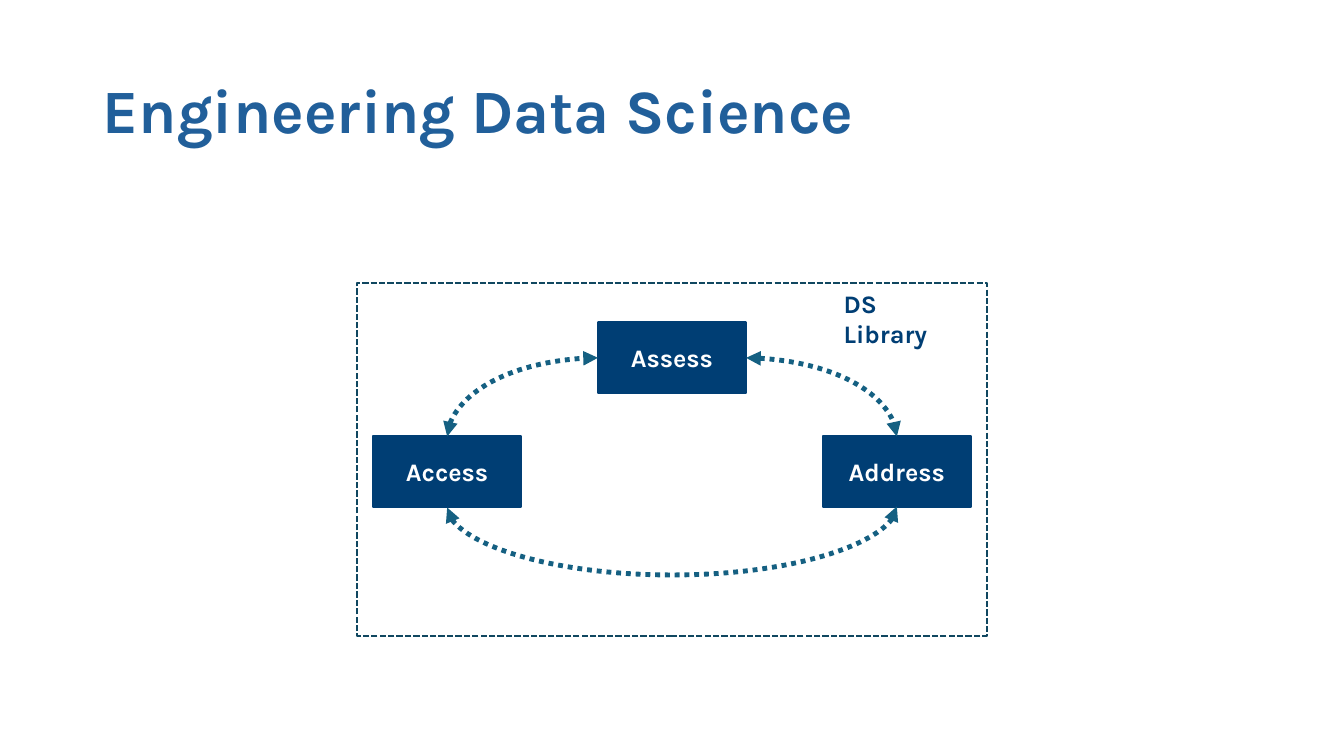
from dataclasses import dataclass

from pptx import Presentation
from pptx.dml.color import RGBColor
from pptx.enum.dml import MSO_LINE
from pptx.enum.shapes import MSO_CONNECTOR, MSO_SHAPE
from pptx.enum.text import MSO_ANCHOR as Anchor, PP_ALIGN as Align
from pptx.oxml.ns import qn
from pptx.oxml.xmlchemy import OxmlElement
from pptx.util import Inches, Pt

TOP, LEFT, BOTTOM, RIGHT = range(4)


@dataclass(frozen=True)
class Theme:
    """Colours, font and sizes used on the slide."""
    font: str = "Karla"
    title: str = "215F9A"
    navy: str = "003E74"
    arrow: str = "156082"
    frame: str = "104760"
    white: str = "FFFFFF"
    title_size: int = 44
    label_size: int = 18
    outline: float = 1.5
    arrow_width: float = 3.5


THEME = Theme()


def rgb(colour):
    """Turn a hex string into a colour."""
    return RGBColor.from_string(colour)


def write(shape, words, size, colour, anchor, align=None):
    """Write one bold run into a shape and return its paragraph."""
    frame = shape.text_frame
    frame.word_wrap = True
    frame.vertical_anchor = anchor
    paragraph = frame.paragraphs[0]
    paragraph.alignment = align
    run = paragraph.add_run()
    run.text = words
    run.font.name = THEME.font
    run.font.size = Pt(size)
    run.font.bold = True
    run.font.color.rgb = rgb(colour)
    return paragraph


def add_box(slide, x, y, width, height, line, fill=None, dash=None):
    """Add a rectangle, unfilled when no fill is given."""
    box = slide.shapes.add_shape(
        MSO_SHAPE.RECTANGLE, Inches(x), Inches(y), Inches(width), Inches(height))
    box.shadow.inherit = False
    if fill:
        box.fill.solid()
        box.fill.fore_color.rgb = rgb(fill)
    else:
        box.fill.background()
    box.line.color.rgb = rgb(line)
    box.line.width = Pt(THEME.outline)
    box.line.dash_style = dash
    return box


def turn_upright(curve):
    """Make a joined curve leave its first box vertically."""
    across = curve.end_x - curve.begin_x
    down = curve.end_y - curve.begin_y
    centre_x = (curve.begin_x + curve.end_x) // 2
    centre_y = (curve.begin_y + curve.end_y) // 2
    curve.width = max(abs(down), Inches(0.01))
    curve.height = abs(across)
    curve.left = centre_x - curve.width // 2
    curve.top = centre_y - curve.height // 2
    xfrm = curve._element.spPr.find(qn("a:xfrm"))
    xfrm.set("rot", str(90 * 60000))
    xfrm.set("flipH", str(int(down < 0)))
    xfrm.set("flipV", str(int(across > 0)))


def add_curve(slide, start, start_side, end, end_side, sag=None):
    """Join two boxes with a dotted two-headed curve, sagging if asked."""
    curve = slide.shapes.add_connector(MSO_CONNECTOR.CURVE, 0, 0, 0, 0)
    curve.begin_connect(start, start_side)
    curve.end_connect(end, end_side)
    if start_side in (TOP, BOTTOM):
        turn_upright(curve)
    properties = curve._element.spPr
    geometry = properties.find(qn("a:prstGeom"))
    if sag is None:
        geometry.set("prst", "curvedConnector2")
    else:
        guide = OxmlElement("a:gd")
        guide.set("name", "adj1")
        guide.set("fmla", f"val {round(Inches(sag) / curve.width * 100000)}")
        geometry.find(qn("a:avLst")).append(guide)
    curve.line.color.rgb = rgb(THEME.arrow)
    curve.line.width = Pt(THEME.arrow_width)
    curve.line.dash_style = MSO_LINE.ROUND_DOT
    for tag in ("a:headEnd", "a:tailEnd"):
        arrowhead = OxmlElement(tag)
        arrowhead.set("type", "triangle")
        properties.find(qn("a:ln")).append(arrowhead)
    properties.append(OxmlElement("a:effectLst"))


def add_title(slide, x, y, width, height):
    """Add the slide title in the given box."""
    title = slide.shapes.add_textbox(
        Inches(x), Inches(y), Inches(width), Inches(height))
    paragraph = write(title, "Engineering Data Science", THEME.title_size,
                      THEME.title, Anchor.MIDDLE)
    paragraph.line_spacing = 0.9


def add_cycle(slide, x, y, width, height):
    """Add the library frame with its cycle of three steps."""
    add_box(slide, x - 0.2, y - 0.13, width + 0.39, height + 0.22,
            THEME.white, THEME.white)
    step_width, step_height = 1.47, 0.7
    steps = {}
    for name, column, drop in (
            ("Assess", 1, 0.39), ("Access", 0, 1.52), ("Address", 2, 1.52)):
        step = add_box(slide, x + 0.16 + column * 2.23, y + drop,
                       step_width, step_height, THEME.navy, THEME.navy)
        write(step, name, THEME.label_size, THEME.white,
              Anchor.MIDDLE, Align.CENTER)
        steps[name] = step
    assess, access, address = steps.values()
    add_curve(slide, access, TOP, assess, LEFT)
    add_curve(slide, assess, RIGHT, address, TOP)
    add_curve(slide, address, BOTTOM, access, BOTTOM, sag=0.69)
    add_box(slide, x, y, width, height, THEME.frame, dash=MSO_LINE.SQUARE_DOT)
    library = slide.shapes.add_textbox(
        Inches(x + 4.73), Inches(y), Inches(1.37), Inches(0.4))
    write(library, "DS Library", THEME.label_size, THEME.navy, Anchor.TOP)


def main():
    """Build the slide and save it."""
    deck = Presentation()
    deck.slide_width, deck.slide_height = Inches(13.33), Inches(7.5)
    slide = deck.slides.add_slide(deck.slide_layouts[6])
    add_title(slide, 0.92, 0.4, 11.5, 1.45)
    add_cycle(slide, 3.54, 2.81, 6.25, 3.5)
    deck.save("out.pptx")


if __name__ == "__main__":
    main()
